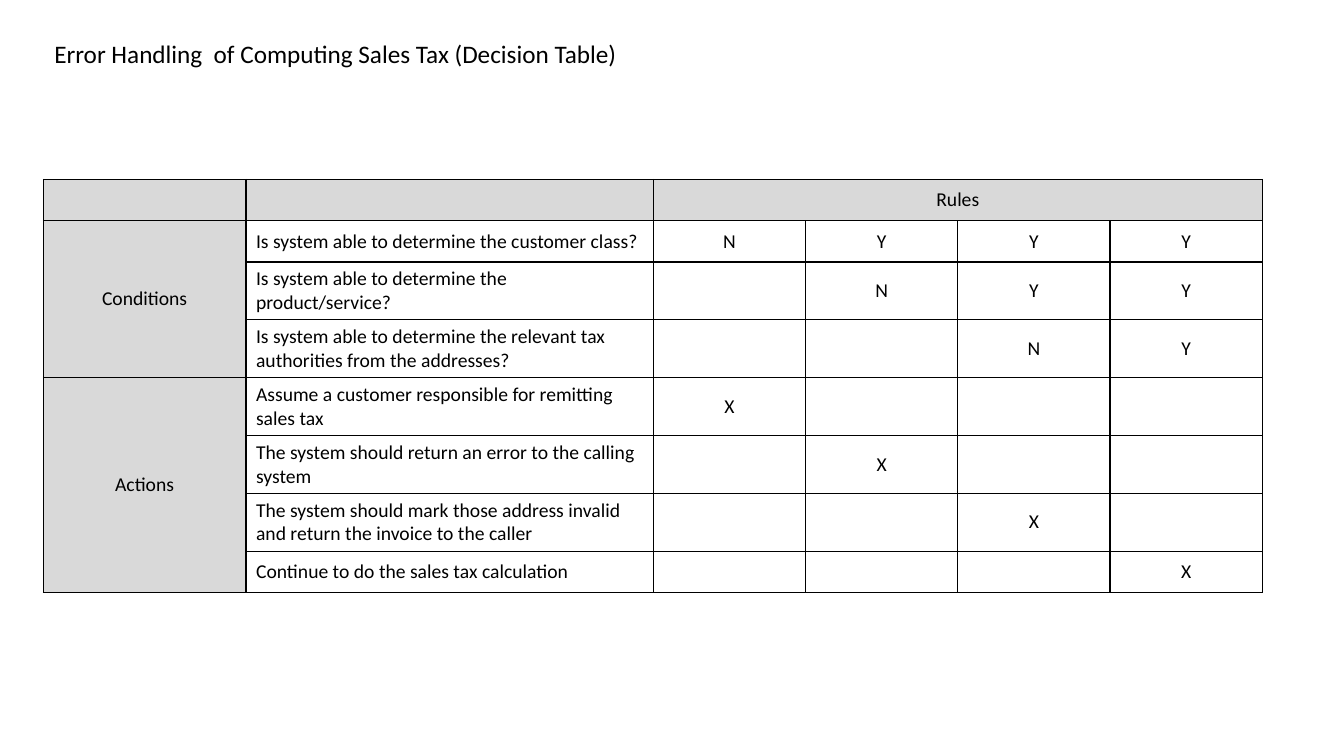
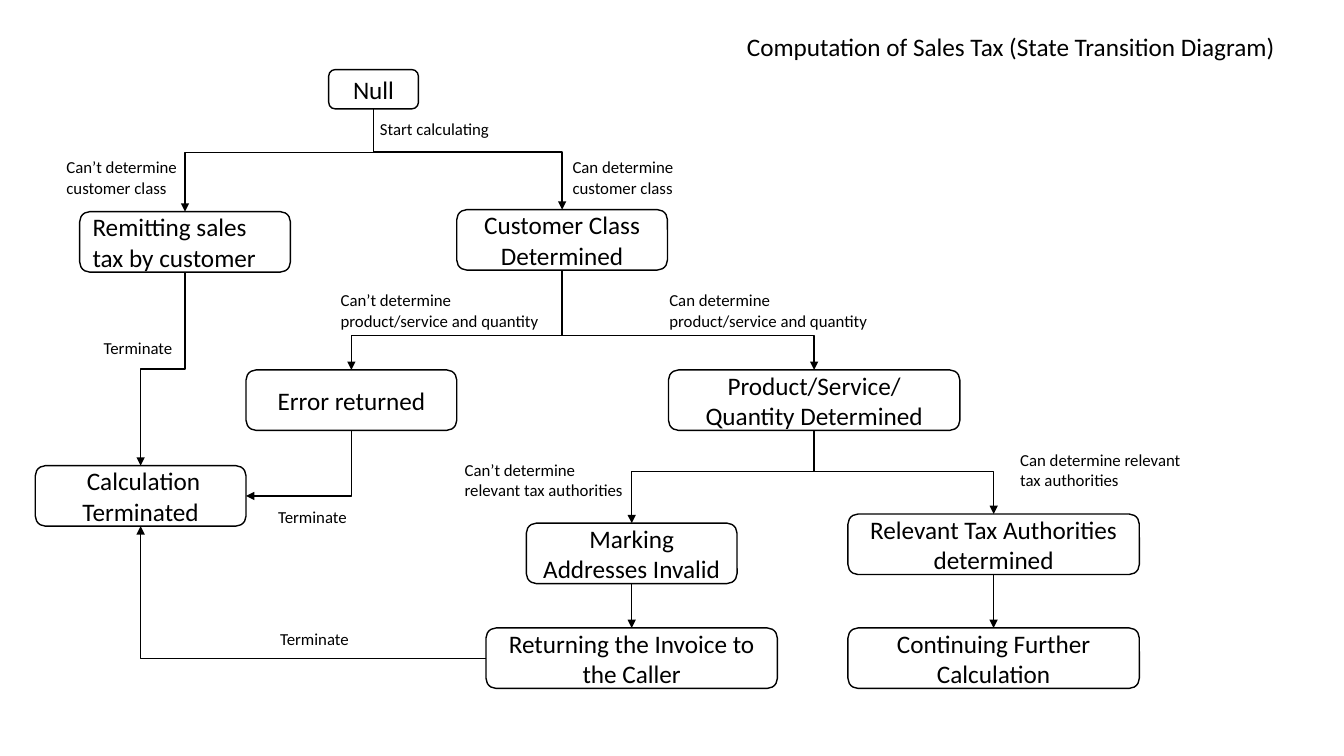
from lxml import etree
from pptx import Presentation
from pptx.dml.color import RGBColor
from pptx.enum.shapes import MSO_CONNECTOR, MSO_SHAPE
from pptx.enum.text import MSO_ANCHOR, PP_ALIGN
from pptx.oxml.ns import qn
from pptx.util import Pt

STRAIGHT = MSO_CONNECTOR.STRAIGHT
ELBOW = MSO_CONNECTOR.ELBOW
ROUNDED = MSO_SHAPE.ROUNDED_RECTANGLE
MIDDLE = MSO_ANCHOR.MIDDLE
LEFT, CENTER = PP_ALIGN.LEFT, PP_ALIGN.CENTER
TOP, BOTTOM = 0, 2

SCALE = 9144
FONT = "Calibri"
BLACK, WHITE, GRAY = "000000", "FFFFFF", "D9D9D9"
TITLE_SIZE, TABLE_SIZE, LABEL_SIZE = 18, 14, 12
LINE_WIDTH = Pt(1)


def px(length):
    return length * SCALE


def color(value):
    return RGBColor.from_string(value)


class Deck:
    def __init__(self, width, height):
        self.file = Presentation()
        self.file.slide_width = px(width)
        self.file.slide_height = px(height)
        self.page = None

    def add_page(self):
        self.page = self.file.slides.add_slide(self.file.slide_layouts[6])

    def fill_text(self, frame, text, size, align=LEFT):
        frame.word_wrap = True
        para = frame.paragraphs[0]
        para.text = text
        para.alignment = align
        para.font.name = FONT
        para.font.size = Pt(size)
        para.font.bold = False
        para.font.color.rgb = color(BLACK)

    def text(self, left, top, width, height, text, size=LABEL_SIZE):
        box = self.page.shapes.add_textbox(*map(px, (left, top, width, height)))
        self.fill_text(box.text_frame, text, size)

    def title(self, left, top, width, text):
        self.text(left, top, width, 40, text, TITLE_SIZE)

    def state(self, left, top, width, height, text, align=CENTER):
        box = self.page.shapes.add_shape(ROUNDED, *map(px, (left, top, width, height)))
        box.shadow.inherit = False
        box.fill.solid()
        box.fill.fore_color.rgb = color(WHITE)
        box.line.color.rgb = color(BLACK)
        box.line.width = LINE_WIDTH
        box.text_frame.vertical_anchor = MIDDLE
        self.fill_text(box.text_frame, text, TITLE_SIZE, align)
        return box

    def style_arrow(self, arrow):
        arrow.line.color.rgb = color(BLACK)
        arrow.line.width = LINE_WIDTH
        properties = arrow._element.spPr
        etree.SubElement(properties.find(qn("a:ln")), qn("a:tailEnd"), type="triangle")
        etree.SubElement(properties, qn("a:effectLst"))

    def arrow_down(self, source, target):
        arrow = self.page.shapes.add_connector(STRAIGHT, 0, 0, 0, 0)
        arrow.begin_connect(source, BOTTOM)
        arrow.end_connect(target, TOP)
        self.style_arrow(arrow)

    def elbow(self, start, end, rotation, flip=False, bend=None):
        (x1, y1), (x2, y2) = start, end
        width, height = abs(x2 - x1), abs(y2 - y1)
        if rotation in (90, 270):
            width, height = height, width
        left = (x1 + x2 - width) // 2
        top = (y1 + y2 - height) // 2
        arrow = self.page.shapes.add_connector(ELBOW, left, top, left + width, top + height)
        properties = arrow._element.spPr
        frame = properties.find(qn("a:xfrm"))
        frame.set("rot", str(rotation * 60000))
        if flip:
            frame.set("flipH", "1")
        geometry = properties.find(qn("a:prstGeom"))
        if bend is None:
            geometry.set("prst", "bentConnector2")
        else:
            ratio = round((px(bend) - y1) / (y2 - y1) * 100000)
            guides = geometry.find(qn("a:avLst"))
            etree.SubElement(guides, qn("a:gd"), name="adj1", fmla=f"val {ratio}")
        self.style_arrow(arrow)

    def branch(self, source, target, bend):
        start, end = bottom_of(source), top_of(target)
        rightward = end[0] > start[0]
        self.elbow(start, end, 270 if rightward else 90, rightward, bend)

    def cell(self, cell, text, fill, align):
        properties = cell._tc.get_or_add_tcPr()
        for side in ("lnL", "lnR", "lnT", "lnB"):
            line = etree.SubElement(properties, qn(f"a:{side}"), w=str(int(LINE_WIDTH)))
            solid = etree.SubElement(line, qn("a:solidFill"))
            etree.SubElement(solid, qn("a:srgbClr"), val=BLACK)
        cell.fill.solid()
        cell.fill.fore_color.rgb = color(fill)
        cell.vertical_anchor = MIDDLE
        self.fill_text(cell.text_frame, text, TABLE_SIZE, align)

    def table(self, left, top, widths, row_height, rows, merges):
        shape = self.page.shapes.add_table(
            len(rows), len(widths), px(left), px(top), px(sum(widths)), px(row_height * len(rows))
        )
        table = shape.table
        table.first_row = False
        table.horz_banding = False
        for column, width in zip(table.columns, widths):
            column.width = px(width)
        for row, texts in enumerate(rows):
            table.rows[row].height = px(row_height)
            for column, text in enumerate(texts):
                fill = GRAY if row == 0 or column == 0 else WHITE
                align = LEFT if column == 1 else CENTER
                self.cell(table.cell(row, column), text, fill, align)
        for first, last in merges:
            table.cell(*first).merge(table.cell(*last))


def top_of(box):
    return box.left + box.width // 2, box.top


def bottom_of(box):
    return box.left + box.width // 2, box.top + box.height


def left_of(box):
    return box.left, box.top + box.height // 2


def right_of(box):
    return box.left + box.width, box.top + box.height // 2


def decision_table(deck):
    deck.add_page()
    rules = [
        ("Conditions", "Is system able to determine the customer class?", "NYYY"),
        ("", "Is system able to determine the product/service?", " NYY"),
        ("", "Is system able to determine the relevant tax authorities from the addresses?", "  NY"),
        ("Actions", "Assume a customer responsible for remitting sales tax", "X   "),
        ("", "The system should return an error to the calling system", " X  "),
        ("", "The system should mark those address invalid and return the invoice to the caller", "  X "),
        ("", "Continue to do the sales tax calculation", "   X"),
    ]
    rows = [["", "", "Rules", "", "", ""]]
    rows += [[group, rule, *(mark.strip() for mark in marks)] for group, rule, marks in rules]
    merges = [((0, 2), (0, 5)), ((1, 0), (3, 0)), ((4, 0), (7, 0))]
    deck.table(43, 178, [201, 404] + [151] * 4, 41, rows, merges)
    deck.title(44, 33, 589, "Error Handling  of Computing Sales Tax (Decision Table)")


def state_diagram(deck):
    deck.add_page()
    narrow, wide, height = 209, 289, 60
    null = deck.state(326, 69, 89, 39, "Null")
    customer = deck.state(453, 208, narrow, height, "Customer Class Determined")
    remitting = deck.state(79, 210, narrow, height, "Remitting sales tax by customer", LEFT)
    product = deck.state(663, 367, wide, height, "Product/Service/ Quantity Determined")
    error = deck.state(244, 367, narrow, height, "Error returned")
    authorities = deck.state(841, 510, wide, height, "Relevant Tax Authorities determined")
    marking = deck.state(522, 519, narrow, height, "Marking Addresses Invalid")
    returning = deck.state(482, 623, wide, height, "Returning the Invoice to the Caller")
    continuing = deck.state(841, 623, wide, height, "Continuing Further Calculation")
    terminated = deck.state(35, 462, narrow, height, " Calculation Terminated")

    for source, targets, bend in (
        (null, (remitting, customer), 151),
        (customer, (error, product), 333),
        (product, (marking, authorities), 468),
        (remitting, (terminated,), 366),
    ):
        for target in targets:
            deck.branch(source, target, bend)
    deck.arrow_down(authorities, continuing)
    deck.arrow_down(marking, returning)
    deck.elbow(bottom_of(error), right_of(terminated), 90)
    deck.elbow(left_of(returning), bottom_of(terminated), 180)

    for left, top, width, text in (
        (367, 113, 132, "Start calculating"),
        (93, 330, 105, "Terminate"),
        (266, 498, 105, "Terminate"),
        (268, 619, 105, "Terminate"),
    ):
        deck.text(left, top, width, 30, text)
    for left, top, width, text in (
        (56, 151, 132, "Can’t determine customer class"),
        (558, 151, 132, "Can determine customer class"),
        (328, 283, 217, "Can’t determine product/service and quantity"),
        (654, 283, 217, "Can determine product/service and quantity"),
        (451, 451, 187, "Can’t determine relevant tax authorities"),
        (1002, 441, 187, "Can determine relevant tax authorities"),
    ):
        deck.text(left, top, width, 50, text)
    deck.title(731, 26, 563, "Computation of Sales Tax (State Transition Diagram)")


def main():
    deck = Deck(1333, 750)
    decision_table(deck)
    state_diagram(deck)
    deck.file.save("out.pptx")


if __name__ == "__main__":
    main()
